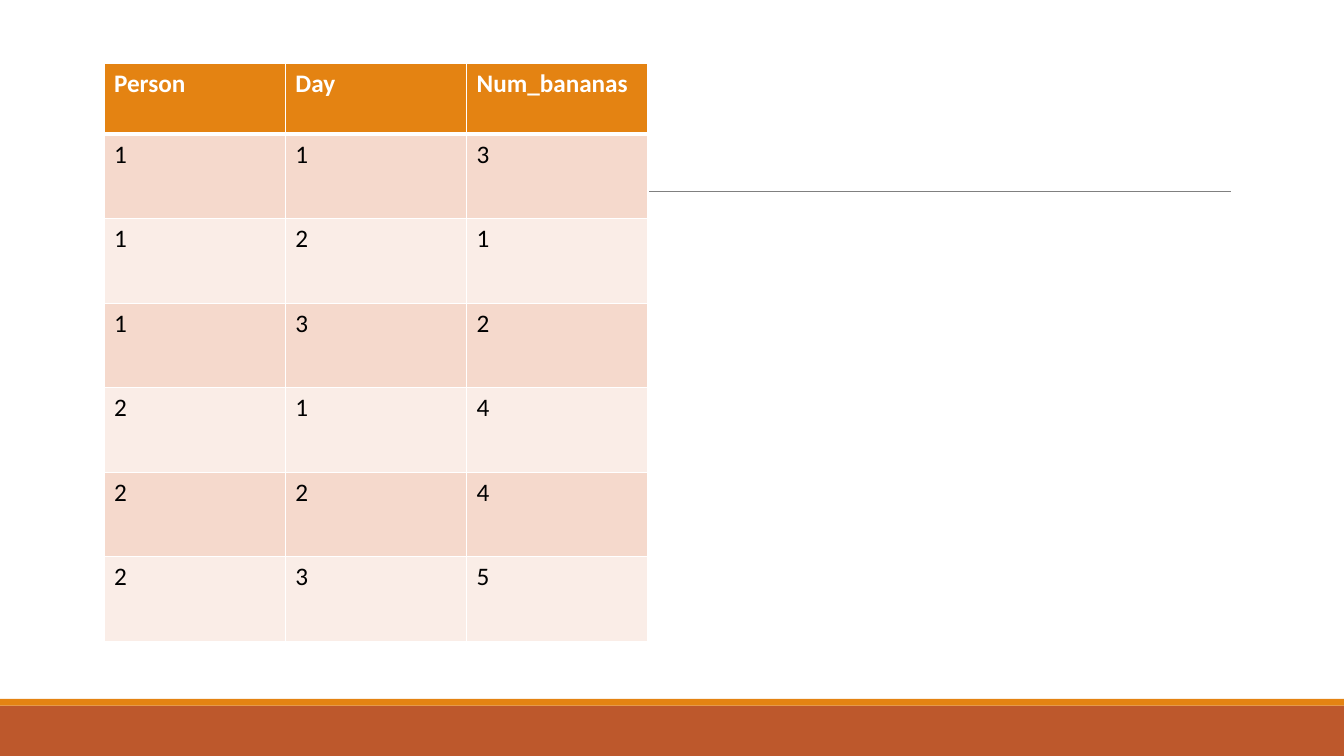
from dataclasses import dataclass

from lxml.etree import SubElement
from pptx import Presentation
from pptx.dml.color import RGBColor as Color
from pptx.enum.shapes import MSO_CONNECTOR as Connector, MSO_SHAPE as Shape
from pptx.oxml.ns import qn
from pptx.util import Cm, Pt

HEADER = ("Person", "Day", "Num_bananas")
RECORDS = [
    (1, 1, 3),
    (1, 2, 1),
    (1, 3, 2),
    (2, 1, 4),
    (2, 2, 4),
    (2, 3, 5),
]


@dataclass(frozen=True)
class Theme:
    font: str = "Calibri"
    text_size: int = 18
    orange: str = "E48312"
    rust: str = "BD582C"
    bands: tuple = ("F5D9CC", "FAEDE7")
    white: str = "FFFFFF"
    black: str = "000000"
    rule: str = "808080"
    rule_width: float = 0.5
    border_width: int = 1
    header_border_width: int = 3


THEME = Theme()
SLIDE_WIDTH, SLIDE_HEIGHT = 33.87, 19.05
FOOTER_HEIGHT, STRIPE_HEIGHT = 1.27, 0.17
RULE_LEFT, RULE_RIGHT, RULE_TOP = 3.33, 31.01, 4.83
TABLE_LEFT, TABLE_TOP = 2.62, 1.6
COLUMN_WIDTH, HEADER_HEIGHT, ROW_HEIGHT = 4.57, 1.78, 2.13


def add_band(slide, top, height, color):
    band = slide.shapes.add_shape(
        Shape.RECTANGLE, 0, Cm(top), Cm(SLIDE_WIDTH), Cm(height))
    band.shadow.inherit = False
    band.fill.solid()
    band.fill.fore_color.rgb = Color.from_string(color)
    band.line.fill.background()


def add_rule(slide):
    rule = slide.shapes.add_connector(
        Connector.STRAIGHT, Cm(RULE_LEFT), Cm(RULE_TOP), Cm(RULE_RIGHT), Cm(RULE_TOP))
    rule.line.color.rgb = Color.from_string(THEME.rule)
    rule.line.width = Pt(THEME.rule_width)
    SubElement(rule._element.spPr, qn("a:effectLst"))


def set_borders(cell, top, bottom):
    side = THEME.border_width
    properties = cell._tc.get_or_add_tcPr()
    for tag, width in (("lnL", side), ("lnR", side), ("lnT", top), ("lnB", bottom)):
        border = SubElement(properties, qn(f"a:{tag}"), w=str(Pt(width)))
        fill = SubElement(border, qn("a:solidFill"))
        SubElement(fill, qn("a:srgbClr"), val=THEME.white)


def fill_cell(cell, value, row_index):
    is_header = row_index == 0
    set_borders(
        cell,
        THEME.header_border_width if row_index == 1 else THEME.border_width,
        THEME.header_border_width if is_header else THEME.border_width)
    color = THEME.orange if is_header else THEME.bands[(row_index - 1) % 2]
    cell.fill.solid()
    cell.fill.fore_color.rgb = Color.from_string(color)
    run = cell.text_frame.paragraphs[0].add_run()
    run.text = str(value)
    run.font.name = THEME.font
    run.font.size = Pt(THEME.text_size)
    run.font.bold = is_header
    run.font.color.rgb = Color.from_string(THEME.white if is_header else THEME.black)


def add_banana_table(slide):
    rows = [HEADER, *RECORDS]
    heights = [HEADER_HEIGHT] + [ROW_HEIGHT] * len(RECORDS)
    table = slide.shapes.add_table(
        len(rows), len(HEADER), Cm(TABLE_LEFT), Cm(TABLE_TOP),
        Cm(COLUMN_WIDTH * len(HEADER)), Cm(sum(heights))).table
    for column in table.columns:
        column.width = Cm(COLUMN_WIDTH)
    for row_index, (values, height) in enumerate(zip(rows, heights)):
        table.rows[row_index].height = Cm(height)
        for column_index, value in enumerate(values):
            fill_cell(table.cell(row_index, column_index), value, row_index)


def main():
    presentation = Presentation()
    presentation.slide_width = Cm(SLIDE_WIDTH)
    presentation.slide_height = Cm(SLIDE_HEIGHT)
    slide = presentation.slides.add_slide(presentation.slide_layouts[6])
    footer_top = SLIDE_HEIGHT - FOOTER_HEIGHT
    add_band(slide, footer_top, FOOTER_HEIGHT, THEME.rust)
    add_band(slide, footer_top - STRIPE_HEIGHT, STRIPE_HEIGHT, THEME.orange)
    add_rule(slide)
    add_banana_table(slide)
    presentation.save("out.pptx")


if __name__ == "__main__":
    main()
